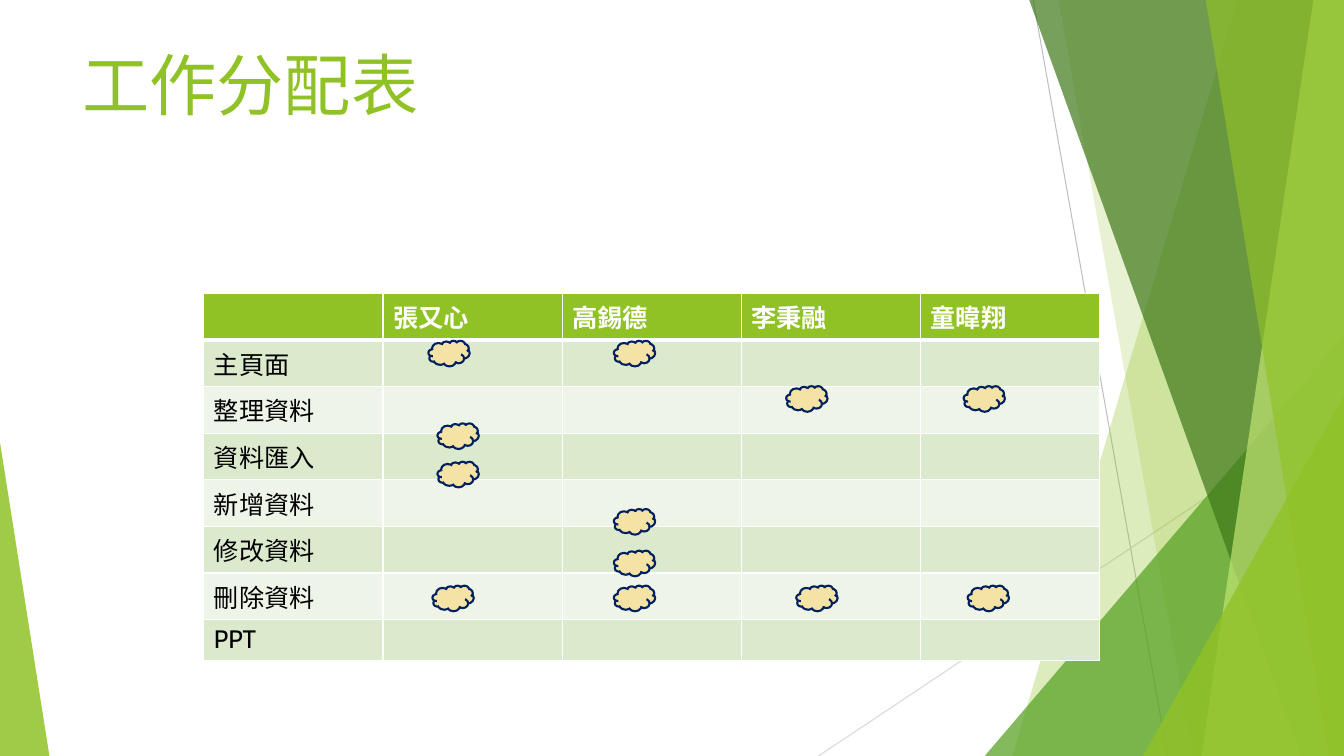
from lxml.etree import SubElement
from pptx import Presentation
from pptx.dml.color import RGBColor
from pptx.enum.shapes import MSO_CONNECTOR, MSO_SHAPE
from pptx.enum.text import MSO_AUTO_SIZE
from pptx.oxml.ns import qn
from pptx.util import Pt

FONT = "Cabin"
GREEN = "90C226"
WHITE = "FFFFFF"
MEMBERS = ["", "張又心", "高錫德", "李秉融", "童暐翔"]
TASKS = ["主頁面", "整理資料", "資料匯入", "新增資料", "修改資料", "刪除資料", "PPT"]
CLOUDS = [
    (306, 243.4), (438.5, 243.4), (438.5, 363.6), (438.5, 393.3),
    (688.3, 275.8), (561.6, 275.8), (312.5, 329.8), (312.5, 302.4),
    (691.2, 418.3), (568.8, 418.3), (308.9, 418.3), (438.5, 418.3),
]


def color(value):
    return RGBColor.from_string(value)


def paint(shape, fill, opacity=100):
    shape.shadow.inherit = False
    shape.fill.solid()
    shape.fill.fore_color.rgb = color(fill)
    shape.line.fill.background()
    if opacity < 100:
        tone = shape._element.spPr.find(qn("a:solidFill"))[0]
        SubElement(tone, qn("a:alpha"), val=str(opacity * 1000))


def add_line(group, start, end, tone):
    line = group.shapes.add_connector(
        MSO_CONNECTOR.STRAIGHT, *map(Pt, start), *map(Pt, end))
    line.line.color.rgb = color(tone)
    line.line.width = Pt(0.75)
    SubElement(line._element.spPr, qn("a:effectLst"))


def add_band(group, top_left, bottom_left, fill, opacity):
    top, right, bottom = -0.6, 960, 540
    builder = group.shapes.build_freeform(Pt(top_left), Pt(top))
    corners = [(right, top), (right, bottom), (bottom_left, bottom)]
    builder.add_line_segments([(Pt(x), Pt(y)) for x, y in corners], close=True)
    paint(builder.convert_to_shape(), fill, opacity)


def add_triangle(group, left, top, width, apex, fill, opacity):
    triangle = group.shapes.add_shape(
        MSO_SHAPE.ISOSCELES_TRIANGLE, Pt(left), Pt(top), Pt(width), Pt(540 - top))
    triangle.adjustments[0] = apex
    paint(triangle, fill, opacity)


def add_backdrop(page):
    group = page.shapes.add_group_shape()
    add_line(group, (738, 0), (834, 540), "BFBFBF")
    add_line(group, (960, 290), (584.6, 540), "D9D9D9")
    add_band(group, 884, 723, GREEN, 30)
    add_band(group, 756, 852, GREEN, 20)
    add_triangle(group, 703.4, 239.8, 256.6, 1, "54A021", 72)
    add_band(group, 735, 929.5, "3F7819", 70)
    add_band(group, 938.2, 858.2, "C0E474", 70)
    add_band(group, 861.1, 949, GREEN, 65)
    add_triangle(group, 816.5, 283, 143.5, 1, GREEN, 80)
    add_triangle(group, 0, 316, 35.3, 0, GREEN, 85)


def format_text(paragraph, size, tone, bold=False):
    for span in paragraph.runs:
        span.font.name = FONT
        span.font.size = Pt(size)
        span.font.bold = bold
        span.font.color.rgb = color(tone)


def add_borders(cell, widths):
    properties = cell._tc.get_or_add_tcPr()
    for side, width in widths.items():
        border = SubElement(properties, qn(f"a:ln{side}"), w=str(Pt(width)))
        fill = SubElement(border, qn("a:solidFill"))
        SubElement(fill, qn("a:srgbClr"), val=WHITE)


def add_assignments(page):
    rows = [MEMBERS] + [[task] + [""] * (len(MEMBERS) - 1) for task in TASKS]
    table = page.shapes.add_table(
        len(rows), len(MEMBERS), Pt(145.6), Pt(209.6), Pt(640), Pt(233.6)).table
    for row_index, row in enumerate(rows):
        header = row_index == 0
        fill = GREEN if header else ("EEF4E8", "DBE9CD")[row_index % 2]
        top = 3 if row_index == 1 else 1
        bottom = 3 if header else 1
        for column_index, wording in enumerate(row):
            cell = table.cell(row_index, column_index)
            add_borders(cell, {"L": 1, "R": 1, "T": top, "B": bottom})
            cell.fill.solid()
            cell.fill.fore_color.rgb = color(fill)
            cell.text_frame.text = wording
            format_text(cell.text_frame.paragraphs[0], 18,
                        WHITE if header else "000000", header)


def add_clouds(page):
    group = page.shapes.add_group_shape()
    for left, top in CLOUDS:
        cloud = group.shapes.add_shape(
            MSO_SHAPE.CLOUD, Pt(left), Pt(top), Pt(29.5), Pt(18.3))
        paint(cloud, "F5E3A5")
        cloud.line.color.rgb = color("002060")
        cloud.line.width = Pt(1.5)


def add_title(page, wording):
    box = page.shapes.add_textbox(Pt(51.8), Pt(27.4), Pt(311.8), Pt(65.5))
    box.text_frame.word_wrap = True
    box.text_frame.auto_size = MSO_AUTO_SIZE.SHAPE_TO_FIT_TEXT
    box.text_frame.text = wording
    format_text(box.text_frame.paragraphs[0], 48, GREEN)


def main():
    deck = Presentation()
    deck.slide_width, deck.slide_height = Pt(960), Pt(540)
    page = deck.slides.add_slide(deck.slide_layouts[6])
    add_backdrop(page)
    add_assignments(page)
    add_clouds(page)
    add_title(page, "工作分配表")
    deck.save("out.pptx")


if __name__ == "__main__":
    main()
